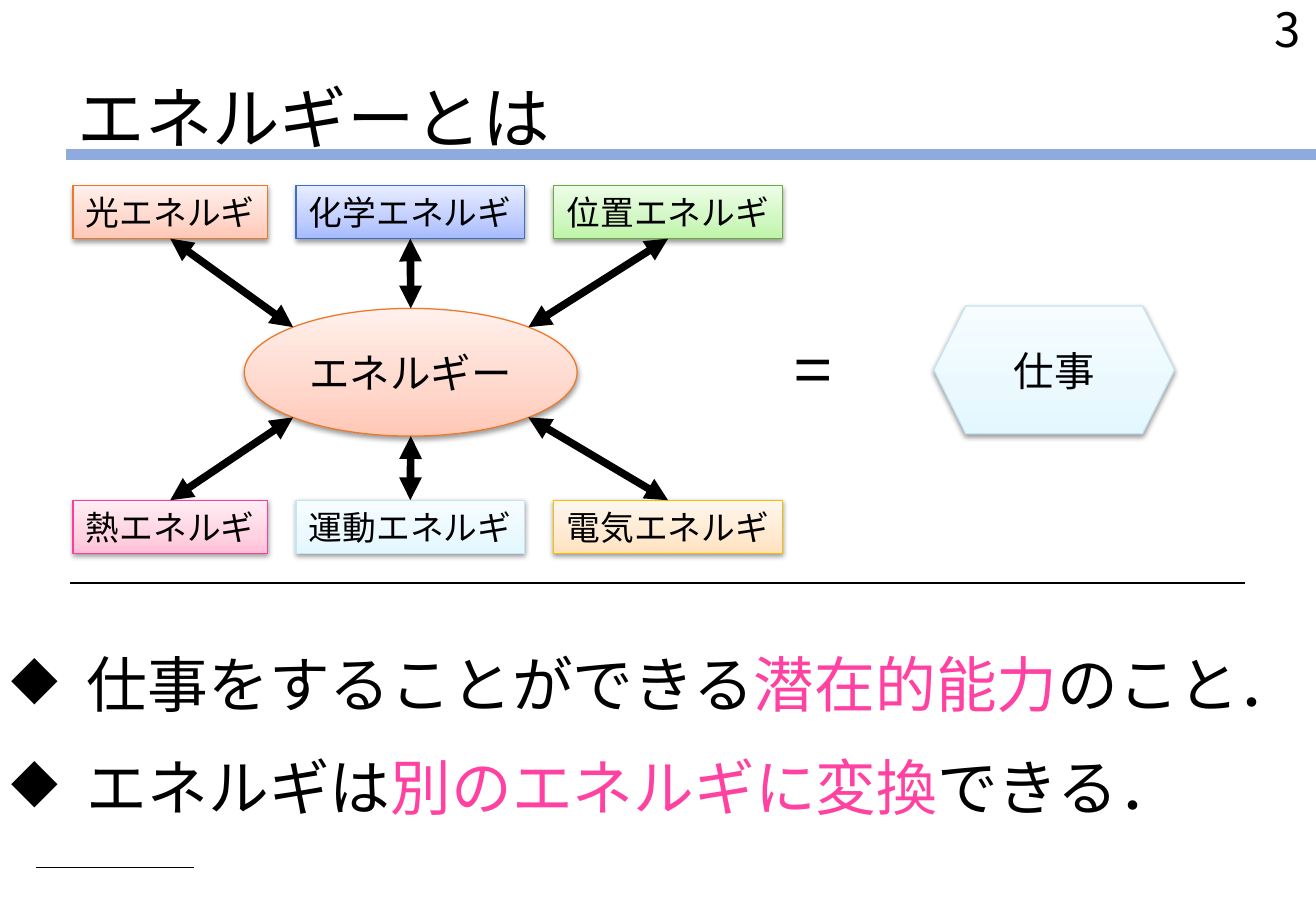
from dataclasses import dataclass
from math import sqrt

from lxml import etree
from pptx import Presentation
from pptx.dml.color import RGBColor
from pptx.enum.shapes import MSO_CONNECTOR, MSO_SHAPE
from pptx.enum.text import MSO_ANCHOR, MSO_AUTO_SIZE, PP_ALIGN
from pptx.oxml.ns import qn
from pptx.util import Cm, Pt

RECTANGLE, OVAL, HEXAGON = MSO_SHAPE.RECTANGLE, MSO_SHAPE.OVAL, MSO_SHAPE.HEXAGON
STRAIGHT = MSO_CONNECTOR.STRAIGHT
TOP, MIDDLE, BOTTOM = MSO_ANCHOR.TOP, MSO_ANCHOR.MIDDLE, MSO_ANCHOR.BOTTOM
LEFT, CENTER, RIGHT = PP_ALIGN.LEFT, PP_ALIGN.CENTER, PP_ALIGN.RIGHT
NO_AUTOFIT = MSO_AUTO_SIZE.NONE


@dataclass(frozen=True)
class Tint:
    """Outline colour and the gradient colours from bottom to top."""
    outline: str
    bottom: str
    middle: str
    top: str


@dataclass(frozen=True)
class Theme:
    font: str = "Noto Sans CJK KR"
    ink: str = "000000"
    accent: str = "FF42A1"
    title_rule: str = "8FAADC"
    title_size: int = 40
    body_size: int = 36
    number_size: int = 28
    hub_size: int = 24
    form_size: int = 20
    orange: Tint = Tint("EC792B", "FFC7B6", "FFD7CB", "FFF0EB")
    pink: Tint = Tint("FE3C9D", "FFC0D7", "FFD3E2", "FFEEF4")
    blue: Tint = Tint("3F6FC3", "A6BBFF", "C0CEFF", "E7ECFF")
    sky: Tint = Tint("C6E5F2", "E3F7FF", "EBF9FF", "F7FDFF")
    green: Tint = Tint("6DAC43", "BEF5A7", "D1F7C2", "EDFDE7")
    yellow: Tint = Tint("F9BC00", "FFE2BD", "FFEAD1", "FFF7EE")


@dataclass(frozen=True)
class Box:
    """Lengths in centimetres."""
    left: float
    top: float
    width: float
    height: float

    @property
    def center_x(self) -> float:
        return self.left + self.width / 2

    @property
    def center_y(self) -> float:
        return self.top + self.height / 2

    def lengths(self) -> tuple:
        return Cm(self.left), Cm(self.top), Cm(self.width), Cm(self.height)


@dataclass(frozen=True)
class EnergyColumn:
    """One energy form above the hub and one below it."""
    center_x: float
    width: float
    side: int
    upper: tuple[str, Tint]
    lower: tuple[str, Tint]


THEME = Theme()
SLIDE_WIDTH, SLIDE_HEIGHT = 27.52, 19.05
HUB = Box(5.11, 6.45, 6.96, 2.67)
WORK = Box(19.53, 6.4, 5.03, 2.67)
FORM_HEIGHT, UPPER_TOP, LOWER_TOP = 1.11, 3.88, 10.46

COLUMNS = (
    EnergyColumn(3.56, 4.06, -1, ("光エネルギ", THEME.orange), ("熱エネルギ", THEME.pink)),
    EnergyColumn(8.58, 4.78, 0, ("化学エネルギ", THEME.blue), ("運動エネルギ", THEME.sky)),
    EnergyColumn(13.97, 4.78, 1, ("位置エネルギ", THEME.green), ("電気エネルギ", THEME.yellow)),
)
# Each statement: plain start, accented middle, plain end
STATEMENTS = (
    ("仕事をすることができる", "潜在的能力", "のこと．"),
    ("エネルギは", "別のエネルギに変換", "できる．"),
)


def rgb(color: str) -> RGBColor:
    return RGBColor.from_string(color)


def style_paragraph(paragraph, size: int, align) -> None:
    paragraph.alignment = align
    font = paragraph.font
    font.size, font.name, font.bold = Pt(size), THEME.font, False
    font.color.rgb = rgb(THEME.ink)
    defaults = paragraph._p.pPr.find(qn("a:defRPr"))
    etree.SubElement(defaults, qn("a:ea"), typeface=THEME.font)


def set_text(shape, text: str, size: int, align, anchor, wrap: bool = False) -> None:
    frame = shape.text_frame
    frame.auto_size, frame.word_wrap, frame.vertical_anchor = NO_AUTOFIT, wrap, anchor
    frame.text = text
    style_paragraph(frame.paragraphs[0], size, align)


def add_label(slide, box: Box, text: str, size: int, align, anchor):
    label = slide.shapes.add_textbox(*box.lengths())
    set_text(label, text, size, align, anchor, wrap=True)
    return label


def add_node(slide, kind, box: Box, text: str, size: int, tint: Tint) -> None:
    """Draw a shape with a vertical gradient and a soft shadow below it."""
    node = slide.shapes.add_shape(kind, *box.lengths())
    node.fill.gradient()
    node.fill.gradient_angle = 90
    stops = node._element.spPr.find(".//" + qn("a:gsLst"))
    stops.clear()
    for position, color in ((0, tint.bottom), (35, tint.middle), (100, tint.top)):
        stop = etree.SubElement(stops, qn("a:gs"), pos=str(position * 1000))
        etree.SubElement(stop, qn("a:srgbClr"), val=color)
    node.line.color.rgb = rgb(tint.outline)
    node.line.width = Pt(0.75)
    node.shadow.inherit = False
    effects = node._element.spPr.find(qn("a:effectLst"))
    shadow = etree.SubElement(effects, qn("a:outerShdw"), blurRad="40000",
                              dist="20000", dir="5400000", rotWithShape="0")
    shade = etree.SubElement(shadow, qn("a:srgbClr"), val=THEME.ink)
    etree.SubElement(shade, qn("a:alpha"), val="38000")
    set_text(node, text, size, CENTER, MIDDLE)


def add_line(slide, start: tuple[float, float], end: tuple[float, float],
             width: float, color: str = THEME.ink, arrows: bool = False) -> None:
    line = slide.shapes.add_connector(STRAIGHT, *map(Cm, start + end))
    line.line.color.rgb = rgb(color)
    line.line.width = Pt(width)
    if arrows:
        outline = line.line._get_or_add_ln()
        for tag in ("a:headEnd", "a:tailEnd"):
            etree.SubElement(outline, qn(tag), type="triangle")
    etree.SubElement(line._element.spPr, qn("a:effectLst"))


def add_energy_column(slide, column: EnergyColumn) -> None:
    """Draw both forms of a column and link them to the rim of the hub."""
    diagonal = 1 / sqrt(2) if column.side else 1
    rim_x = HUB.center_x + column.side * diagonal * HUB.width / 2
    rows = ((column.upper, UPPER_TOP, UPPER_TOP + FORM_HEIGHT, -1),
            (column.lower, LOWER_TOP, LOWER_TOP, 1))
    for (text, tint), top, link_y, direction in rows:
        box = Box(column.center_x - column.width / 2, top, column.width, FORM_HEIGHT)
        add_node(slide, RECTANGLE, box, text, THEME.form_size, tint)
        rim_y = HUB.center_y + direction * diagonal * HUB.height / 2
        add_line(slide, (column.center_x, link_y), (rim_x, rim_y), 4.5, arrows=True)


def add_statements(slide) -> None:
    body = slide.shapes.add_textbox(*Box(0, 12.19, SLIDE_WIDTH, 5.97).lengths())
    frame = body.text_frame
    frame.word_wrap, frame.vertical_anchor = True, MIDDLE
    for index, parts in enumerate(STATEMENTS):
        paragraph = frame.add_paragraph() if index else frame.paragraphs[0]
        for part in parts:
            paragraph.add_run().text = part
        paragraph.runs[1].font.color.rgb = rgb(THEME.accent)
        paragraph.line_spacing, paragraph.space_before = 1.25, Pt(7)
        style_paragraph(paragraph, THEME.body_size, LEFT)
        properties = paragraph._p.pPr
        properties.set("marL", str(Cm(1.57)))
        properties.set("indent", str(-Cm(1.57)))
        bullet = etree.Element(qn("a:buChar"), char="◆")
        properties.find(qn("a:defRPr")).addprevious(bullet)


def main() -> None:
    deck = Presentation()
    deck.slide_width, deck.slide_height = Cm(SLIDE_WIDTH), Cm(SLIDE_HEIGHT)
    slide = deck.slides.add_slide(deck.slide_layouts[5])
    add_line(slide, (1.37, 3.23), (SLIDE_WIDTH, 3.23), 6, THEME.title_rule)
    add_line(slide, (0.76, 18.14), (4.06, 18.14), 1)
    add_line(slide, (1.47, 12.19), (26.04, 12.19), 0.75)

    title = slide.shapes.title
    title.left, title.top, title.width, title.height = Box(1.37, 1.02, 26.14, 2.26).lengths()
    set_text(title, "エネルギーとは", THEME.title_size, LEFT, BOTTOM, wrap=True)
    title.text_frame.margin_bottom = 0
    number = add_label(slide, Box(24.56, 0, 2.9, 1.68), "3", THEME.number_size, RIGHT, TOP)
    number.text_frame.margin_top = 0

    add_statements(slide)
    add_node(slide, OVAL, HUB, "エネルギー", THEME.hub_size, THEME.orange)
    for column in COLUMNS:
        add_energy_column(slide, column)
    add_label(slide, Box(16.36, 6.73, 1.47, 1.96), "=", THEME.title_size, LEFT, MIDDLE)
    add_node(slide, HEXAGON, WORK, "仕事", THEME.hub_size, THEME.sky)
    deck.save("out.pptx")


if __name__ == "__main__":
    main()
